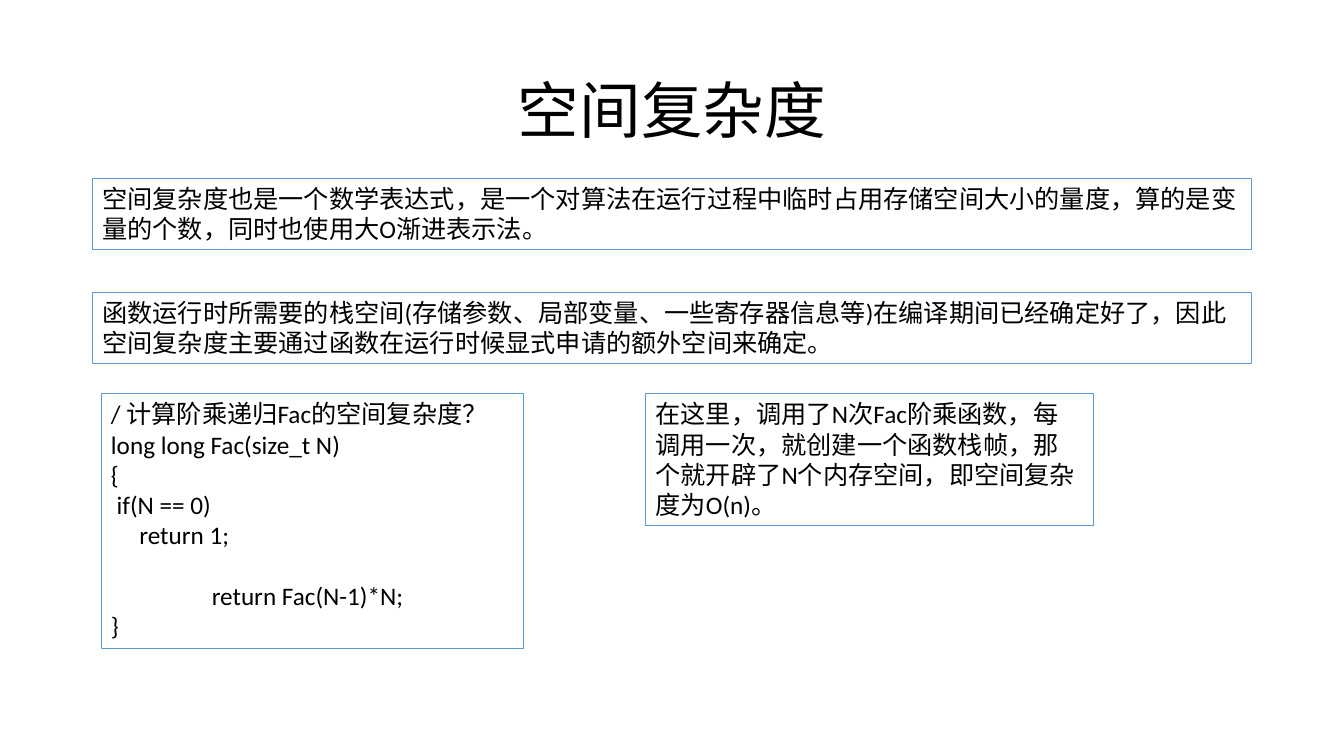
from pptx import Presentation
from pptx.dml.color import RGBColor
from pptx.enum import text
from pptx.util import Pt

COLORS = {"ink": "000000", "border": "5B9BD5"}
FONT = "Calibri"
BODY_SIZE = 18
LINE_HEIGHT = 21.7

TITLE = "空间复杂度"
TITLE_AREA = (66, 28.8, 828, 104.4)

DEFINITION = "空间复杂度也是一个数学表达式，是一个对算法在运行过程中临时占用存储空间大小的量度，算的是变量的个数，同时也使用大O渐进表示法。"
STACK_NOTE = "函数运行时所需要的栈空间(存储参数、局部变量、一些寄存器信息等)在编译期间已经确定好了，因此空间复杂度主要通过函数在运行时候显式申请的额外空间来确定。"
ANSWER = "在这里，调用了N次Fac阶乘函数，每调用一次，就创建一个函数栈帧，那个就开辟了N个内存空间，即空间复杂度为O(n)。"

# Each line: text, left indent, lines of space above
CODE = [
    ("/ 计算阶乘递归Fac的空间复杂度？", 0, 0),
    ("long long Fac(size_t N)", 0, 0),
    ("{", 0, 0),
    ("if(N == 0)", 4, 0),
    ("return 1;", 20.3, 0),
    ("return Fac(N-1)*N;", 72, 1),
    ("}", 0, 0),
]

# Each box: (left, top, width, height), lines
BOXES = [
    ((66, 127.6, 828, 50.9), [(DEFINITION, 0, 0)]),
    ((66, 209, 828, 50.9), [(STACK_NOTE, 0, 0)]),
    ((72.2, 281.2, 301.7, 181.8), CODE),
    ((461.2, 281.2, 319.7, 94.5), [(ANSWER, 0, 0)]),
]


def style_runs(paragraph, size):
    for run in paragraph.runs:
        run.font.name = FONT
        run.font.size = Pt(size)
        run.font.color.rgb = RGBColor.from_string(COLORS["ink"])


def add_title(slide):
    title = slide.shapes.title
    title.left, title.top, title.width, title.height = map(Pt, TITLE_AREA)
    frame = title.text_frame
    frame.text = TITLE
    frame.vertical_anchor = text.MSO_ANCHOR.MIDDLE
    heading = frame.paragraphs[0]
    heading.alignment = text.PP_ALIGN.CENTER
    heading.line_spacing = 0.9
    style_runs(heading, 44)


def add_bordered_text(slide, area, lines):
    box = slide.shapes.add_textbox(*map(Pt, area))
    box.line.color.rgb = RGBColor.from_string(COLORS["border"])
    box.line.width = Pt(0.75)
    frame = box.text_frame
    frame.word_wrap = True
    frame.auto_size = text.MSO_AUTO_SIZE.SHAPE_TO_FIT_TEXT
    frame.text = "\n".join(line for line, _, _ in lines)
    for paragraph, (_, indent, gap) in zip(frame.paragraphs, lines):
        if indent:
            paragraph._p.get_or_add_pPr().set("marL", str(Pt(indent)))
        if gap:
            paragraph.space_before = Pt(gap * LINE_HEIGHT)
        style_runs(paragraph, BODY_SIZE)


def main():
    deck = Presentation()
    deck.slide_width, deck.slide_height = Pt(960), Pt(540)
    slide = deck.slides.add_slide(deck.slide_layouts.get_by_name("Title Only"))
    add_title(slide)
    for area, lines in BOXES:
        add_bordered_text(slide, area, lines)
    deck.save("out.pptx")


if __name__ == "__main__":
    main()
